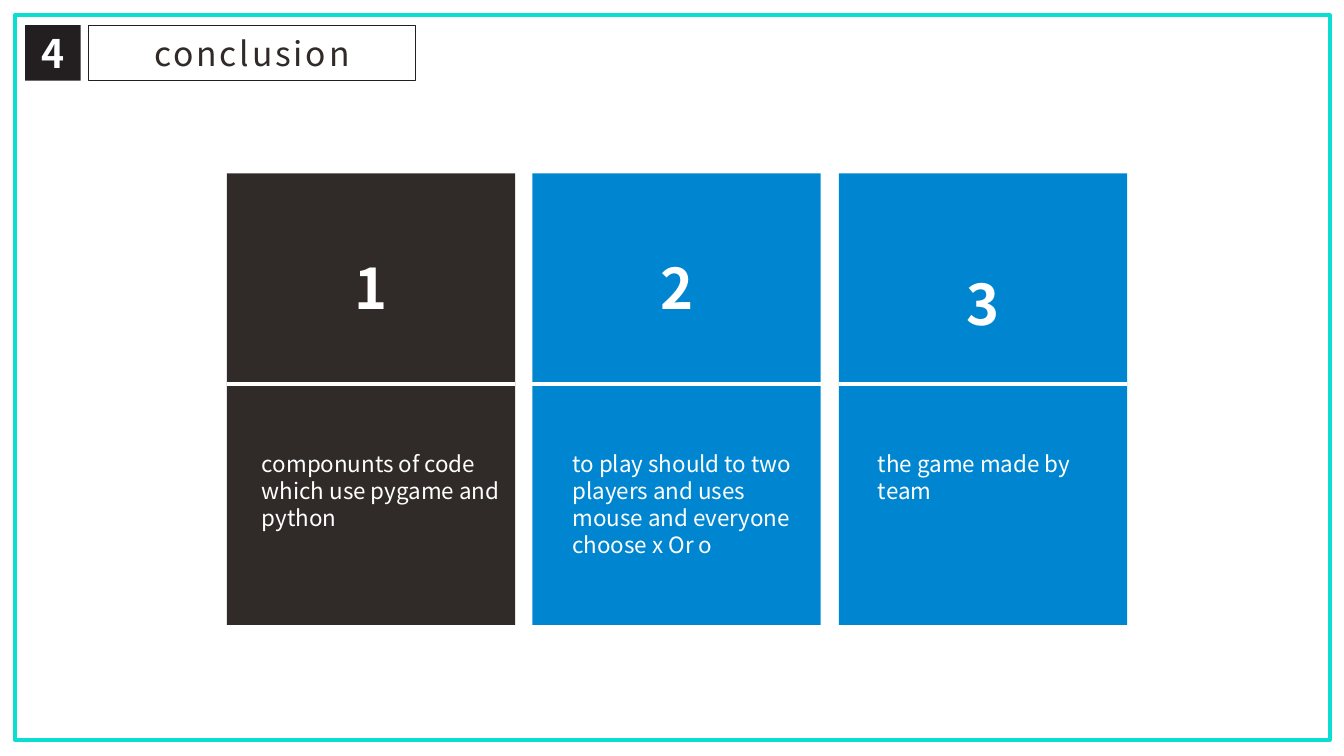
from pptx import Presentation
from pptx import util as u
from pptx.dml.color import RGBColor
from pptx.enum import shapes, text
from pptx.oxml.ns import qn

PX = u.Inches(1) // 100
FONT = "Noto Sans CJK SC"
COLORS = {"blue": "0086D1", "dark": "302A28", "black": "231F20",
          "aqua": "0BDDD3", "white": "FFFFFF"}
CARDS = [
    # number, its top, fill, text inset, text
    ("1", 247, "dark", 25, "componunts of code which use pygame and python"),
    ("2", 247, "blue", 30, "to play should to two players and uses mouse and everyone choose x Or o"),
    ("3", 262, "blue", 29, "the game made by team"),
]
CARD_LEFT, CARD_TOP, CARD_WIDTH, CARD_HEIGHT = 225, 172, 286, 448
DIVIDER_TOP = 381


def add_rectangle(bounds, fill=None, line=None, line_width=1):
    box = page.shapes.add_shape(shapes.MSO_SHAPE.RECTANGLE, *[n * PX for n in bounds])
    box.shadow.inherit = False
    if fill:
        box.fill.solid()
        box.fill.fore_color.rgb = RGBColor.from_string(COLORS[fill])
    else:
        box.fill.background()
    if line:
        box.line.color.rgb = RGBColor.from_string(COLORS[line])
        box.line.width = u.Pt(line_width)
    else:
        box.line.fill.background()
    return box


def write(box, words, size, color="white", bold=False,
          align=text.PP_ALIGN.CENTER, **frame_format):
    frame = box.text_frame
    frame_format = {"word_wrap": True, "auto_size": text.MSO_AUTO_SIZE.NONE, **frame_format}
    for name, value in frame_format.items():
        setattr(frame, name, value)
    para = frame.paragraphs[0]
    para.alignment = align
    span = para.add_run()
    span.text = words
    for name, value in {"name": FONT, "size": u.Pt(size), "bold": bold}.items():
        setattr(span.font, name, value)
    span.font.color.rgb = RGBColor.from_string(COLORS[color])
    return span


deck = Presentation()
deck.slide_width, deck.slide_height = 1333 * PX, 750 * PX
page = deck.slides.add_slide(deck.slide_layouts[5])

for i, (number, number_top, fill, inset, words) in enumerate(CARDS):
    left = CARD_LEFT + i * 607 // 2
    add_rectangle((left, CARD_TOP, CARD_WIDTH, CARD_HEIGHT), fill)

    divider = page.shapes.add_connector(
        shapes.MSO_CONNECTOR.STRAIGHT, left * PX, DIVIDER_TOP * PX,
        (left + CARD_WIDTH) * PX, DIVIDER_TOP * PX)
    divider.line.color.rgb = RGBColor.from_string(COLORS["white"])
    divider.line.width = u.Pt(2.25)
    properties = divider._element.spPr
    properties.append(properties.makeelement(qn("a:effectLst"), {}))

    number_box = page.shapes.add_textbox((left + 59) * PX, number_top * PX, 168 * PX, 77 * PX)
    write(number_box, number, 40, bold=True)
    words_box = page.shapes.add_textbox((left + inset) * PX, 442 * PX, 256 * PX, 118 * PX)
    write(words_box, words, 16, align=text.PP_ALIGN.LEFT)

add_rectangle((15, 15, 1304, 719), line="aqua", line_width=2.63)

badge = add_rectangle((25, 25, 55, 55), "black")
write(badge, "4", 28, bold=True, vertical_anchor=text.MSO_ANCHOR.MIDDLE,
      margin_left=0, margin_top=0, margin_right=0, margin_bottom=0)

title = page.shapes.title
title.left, title.top, title.width, title.height = [n * PX for n in (88, 25, 324, 55)]
title.line.color.rgb = RGBColor.from_string(COLORS["black"])
title.line.width = u.Pt(1)
heading = write(title, "conclusion", 24, "dark", vertical_anchor=text.MSO_ANCHOR.MIDDLE)
heading.font._element.set("spc", "200")

deck.save("out.pptx")
